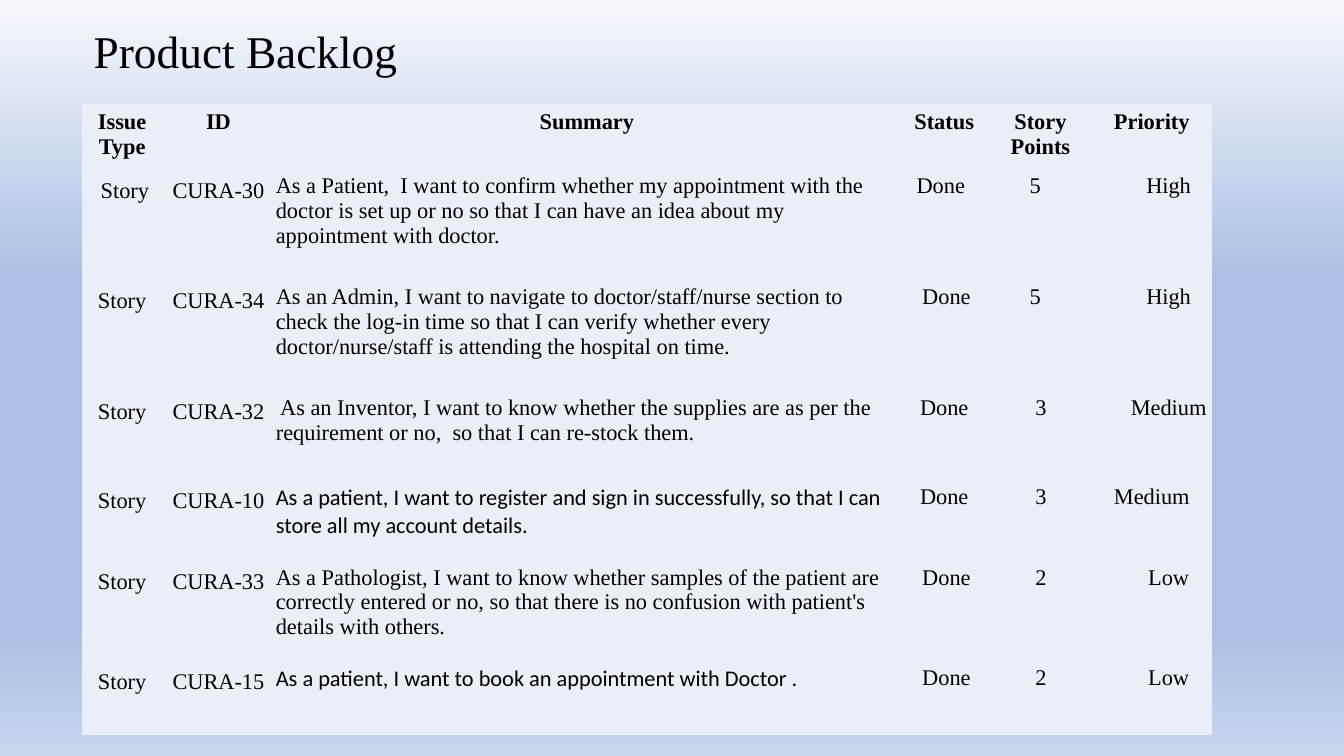
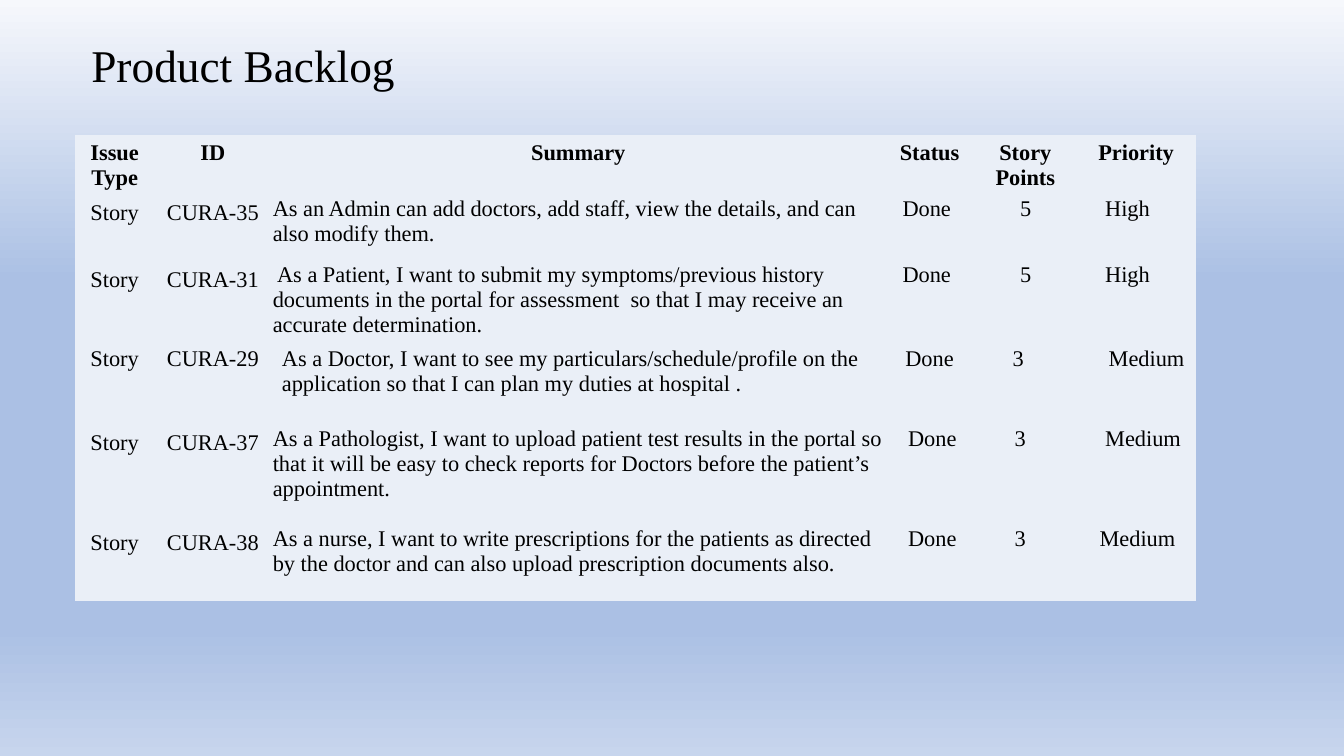
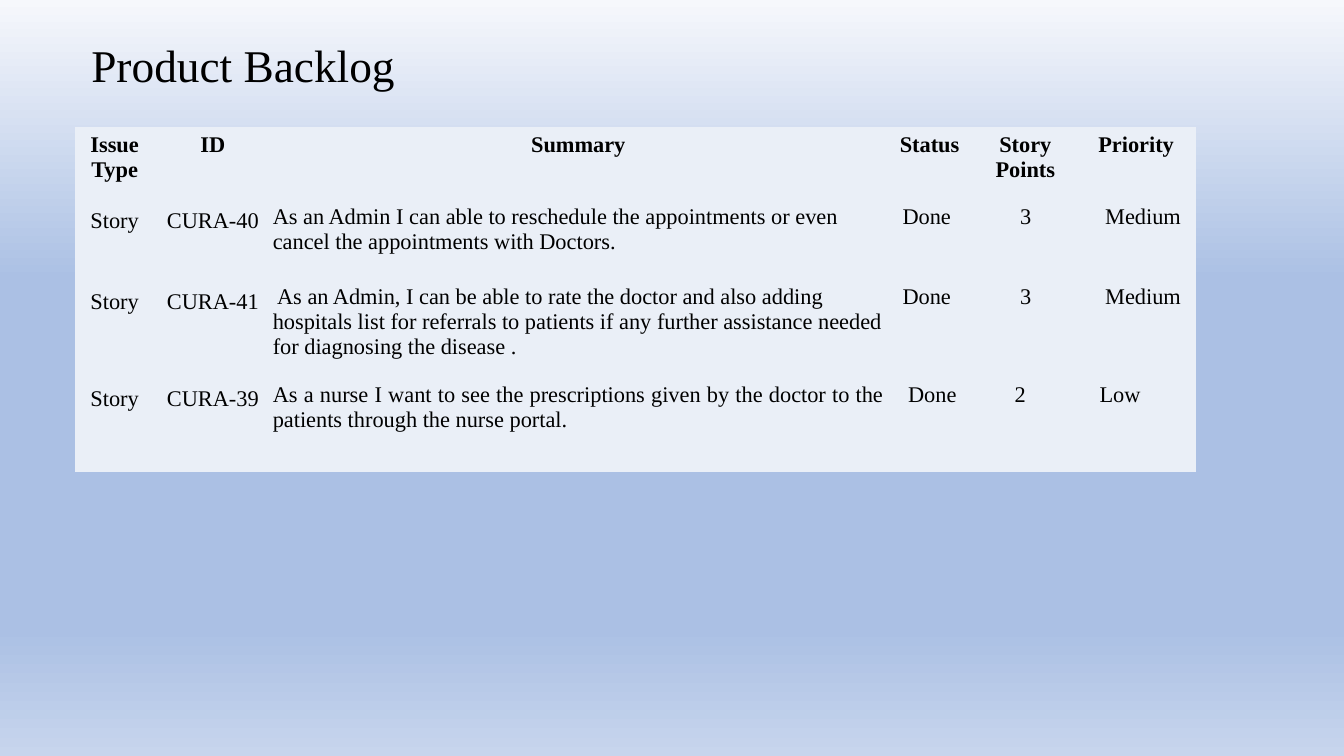
from copy import deepcopy
from dataclasses import dataclass

from pptx import Presentation
from pptx.dml.color import RGBColor
from pptx.enum.text import MSO_ANCHOR, MSO_AUTO_SIZE, PP_ALIGN as ALIGN
from pptx.util import Pt

BLACK = RGBColor(0x00, 0x00, 0x00)
CELL_FILL = RGBColor(0xEA, 0xEF, 0xF7)
SKY_TOP = RGBColor(0xF6, 0xF8, 0xFC)
SKY_MIDDLE = RGBColor(0xAB, 0xC0, 0xE4)
SKY_BOTTOM = RGBColor(0xC7, 0xD5, 0xED)
SKY = [(0, SKY_TOP), (0.37, SKY_MIDDLE), (0.83, SKY_MIDDLE), (1, SKY_BOTTOM)]

SERIF = "Times New Roman"
SANS = "Calibri"
PLAIN_TABLE = "{2D5ABB26-0587-4C30-8999-92F81FD0307C}"
HEADINGS = ["Issue Type", "ID", "Summary", "Status", "Story Points", "Priority"]
WIDE_COLUMNS = [56.9, 80.7, 445.7, 64.8, 72.7, 86.4]
NARROW_COLUMNS = [56.2, 84.2, 437.8, 64.1, 72.7, 85.7]

CENTER = (ALIGN.CENTER, 0)
CENTER_SHIFTED = (ALIGN.CENTER, 24)


def left(indent):
    return ALIGN.LEFT, indent


@dataclass
class Story:
    key: str
    summary: str
    points: str
    priority: str
    status_place: tuple = left(16)
    points_place: tuple = left(32)
    priority_place: tuple = left(20)
    issue: str = "Story"
    summary_font: str = SERIF
    summary_align: ALIGN = ALIGN.LEFT
    padded: bool = False


def write(frame, text, font=SERIF, size=16, bold=False, color=BLACK,
          align=ALIGN.LEFT, line_spacing=None):
    paragraph = frame.paragraphs[0]
    paragraph.alignment = align
    paragraph.line_spacing = line_spacing
    run = paragraph.add_run()
    run.text = text
    run.font.name = font
    run.font.size = Pt(size)
    run.font.bold = bold
    run.font.color.rgb = color


class BacklogDeck:
    def __init__(self):
        self.presentation = Presentation()
        self.presentation.slide_width = Pt(960)
        self.presentation.slide_height = Pt(540)
        self.slide = None
        self.paint_background()

    def paint_background(self):
        master = self.presentation.slide_master
        fill = master.background.fill
        fill.gradient()
        fill.gradient_angle = 270
        stops = master.element.xpath(".//p:bg//a:gsLst")[0]
        while len(stops) < len(SKY):
            stops.append(deepcopy(stops[0]))
        for stop, (position, color) in zip(fill.gradient_stops, SKY):
            stop.position = position
            stop.color.rgb = color

    def add_slide(self, title, x, y):
        layout = self.presentation.slide_layouts[5]
        self.slide = self.presentation.slides.add_slide(layout)
        heading = self.slide.shapes.title
        heading.left, heading.top = Pt(x), Pt(y)
        heading.width, heading.height = Pt(781), Pt(42.5)
        frame = heading.text_frame
        frame.auto_size = MSO_AUTO_SIZE.NONE
        frame.word_wrap = True
        frame.vertical_anchor = MSO_ANCHOR.MIDDLE
        frame.margin_left = Pt(25.1)
        write(frame, title, size=32.4, line_spacing=0.9)

    def fill_cell(self, cell, text, place=CENTER, padded=True, **style):
        align, indent = place
        side, top, bottom = (7.2, 3.6, 3.6) if padded else (0.7, 0.7, 0)
        cell.margin_left, cell.margin_right = Pt(side + indent), Pt(side)
        cell.margin_top, cell.margin_bottom = Pt(top), Pt(bottom)
        cell.fill.solid()
        cell.fill.fore_color.rgb = CELL_FILL
        write(cell.text_frame, text, align=align, **style)

    def add_backlog(self, x, y, columns, rows, stories):
        graphic = self.slide.shapes.add_table(
            len(rows), len(columns), Pt(x), Pt(y), Pt(sum(columns)), Pt(sum(rows)))
        table = graphic.table
        table.first_row = table.horz_banding = False
        graphic.element.xpath(".//a:tableStyleId")[0].text = PLAIN_TABLE
        for column, width in zip(table.columns, columns):
            column.width = Pt(width)
        for row, height in zip(table.rows, rows):
            row.height = Pt(height)
        for index, heading in enumerate(HEADINGS):
            self.fill_cell(table.cell(0, index), heading, bold=True)
        for index, story in enumerate(stories, 1):
            issue, key, summary, status, points, priority = table.rows[index].cells
            self.fill_cell(issue, story.issue)
            self.fill_cell(key, story.key)
            self.fill_cell(summary, story.summary, (story.summary_align, 0),
                           story.padded, font=story.summary_font)
            self.fill_cell(status, "Done", story.status_place, story.padded)
            self.fill_cell(points, story.points, story.points_place, story.padded)
            self.fill_cell(priority, story.priority, story.priority_place, story.padded)


FIRST_STORIES = [
    Story("CURA-30", "As a Patient,  I want to confirm whether my appointment with the "
          "doctor is set up or no so that I can have an idea about my appointment with doctor.",
          "5", "High", left(12), left(28), CENTER_SHIFTED, issue=" Story"),
    Story("CURA-34", "As an Admin, I want to navigate to doctor/staff/nurse section to "
          "check the log-in time so that I can verify whether every doctor/nurse/staff "
          "is attending the hospital on time.",
          "5", "High", points_place=left(28), priority_place=CENTER_SHIFTED),
    Story("CURA-32", " As an Inventor, I want to know whether the supplies are as per the "
          "requirement or no,  so that I can re-stock them.",
          "3", "Medium", CENTER, priority_place=CENTER_SHIFTED),
    Story("CURA-10", "As a patient, I want to register and sign in successfully, so that "
          "I can store all my account details.",
          "3", "Medium", CENTER, priority_place=CENTER, summary_font=SANS),
    Story("CURA-33", "As a Pathologist, I want to know whether samples of the patient are "
          "correctly entered or no, so that there is no confusion with patient's details "
          "with others.", "2", "Low", priority_place=CENTER_SHIFTED),
    Story("CURA-15", "As a patient, I want to book an appointment with Doctor .",
          "2", "Low", priority_place=CENTER_SHIFTED, summary_font=SANS),
]

SECOND_STORIES = [
    Story("CURA-35", "As an Admin can add doctors, add staff, view the details, and can "
          "also modify them.", "5", "High", left(12)),
    Story("CURA-31", " As a Patient, I want to submit my symptoms/previous history "
          "documents in the portal for assessment  so that I may receive an accurate "
          "determination.", "5", "High", left(12)),
    Story("CURA-29", "As a Doctor, I want to see my particulars/schedule/profile on the "
          "application so that I can plan my duties at hospital .",
          "3", "Medium", CENTER, left(20), left(16), padded=True),
    Story("CURA-37", "As a Pathologist, I want to upload patient test results in the portal "
          "so that it will be easy to check reports for Doctors before the patient’s "
          "appointment.", "3", "Medium", points_place=left(28)),
    Story("CURA-38", "As a nurse, I want to write prescriptions for the patients as directed "
          "by the doctor and can also upload prescription documents also.",
          "3", "Medium", points_place=left(28), priority_place=left(16)),
]

THIRD_STORIES = [
    Story("CURA-40", "As an Admin I can able to reschedule the appointments or even cancel "
          "the appointments with Doctors.", "3", "Medium", left(12)),
    Story("CURA-41", " As an Admin, I can be able to rate the doctor and also adding "
          "hospitals list for referrals to patients if any further assistance needed for "
          "diagnosing the disease .", "3", "Medium", left(12)),
    Story("CURA-39", "As a nurse I want to see the prescriptions given by the doctor to the "
          "patients through the nurse portal.", "2", "Low", points_place=left(28),
          priority_place=left(16), summary_align=ALIGN.JUSTIFY),
]


def main():
    deck = BacklogDeck()
    title = "Product Backlog"

    deck.add_slide(title, 41.8, 17)
    deck.add_backlog(58.8, 74.6, WIDE_COLUMNS,
                     [49, 79.2, 79.2, 63.4, 57.6, 71.4, 50.4], FIRST_STORIES)

    deck.add_slide(title, 40.1, 27.2)
    deck.add_backlog(53.8, 96.5, NARROW_COLUMNS,
                     [43, 47.7, 56.6, 60.5, 71.4, 53.8], SECOND_STORIES)

    deck.add_slide(title, 40.1, 27.2)
    deck.add_backlog(53.8, 90.8, NARROW_COLUMNS, [54.5, 57.6, 69.6, 65], THIRD_STORIES)

    deck.presentation.save("out.pptx")


if __name__ == "__main__":
    main()
